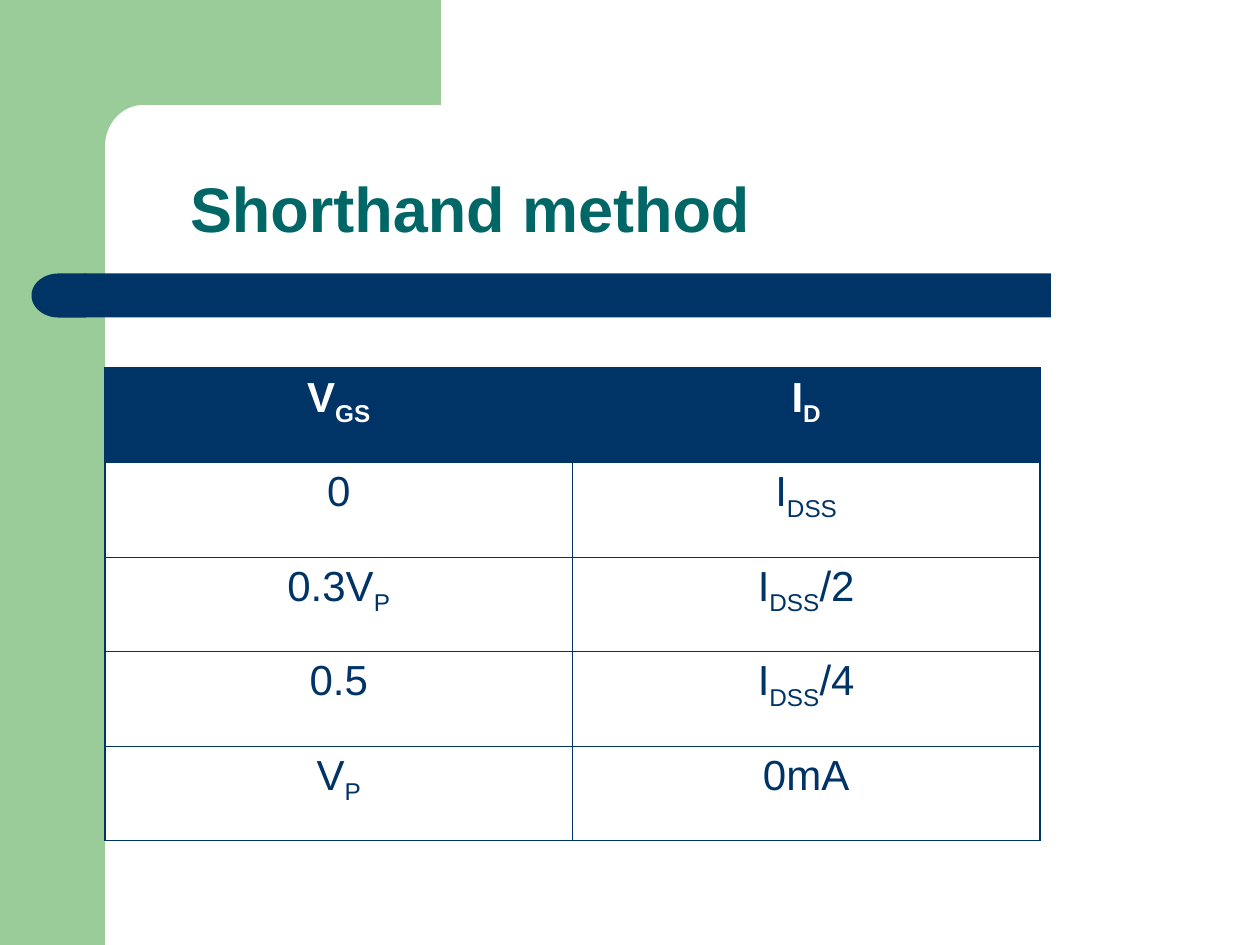
from dataclasses import dataclass
from math import cos, pi, sin

from lxml.etree import SubElement
from pptx import Presentation
from pptx.dml.color import RGBColor
from pptx.enum.shapes import MSO_SHAPE
from pptx.enum.text import MSO_ANCHOR, PP_ALIGN
from pptx.oxml.ns import qn
from pptx.util import Inches, Pt

# Content: each cell is a list of (text, is subscript) runs
TITLE = "Shorthand method"
I_DSS = [("I", False), ("DSS", True)]
ROWS = [
    ([("V", False), ("GS", True)], [("I", False), ("D", True)]),
    ([("0", False)], I_DSS),
    ([("0.3V", False), ("P", True)], I_DSS + [("/2", False)]),
    ([("0.5", False)], I_DSS + [("/4", False)]),
    ([("V", False), ("P", True)], [("0mA", False)]),
]


@dataclass(frozen=True)
class Theme:
    font: str = "Arial"
    green: str = "99CC99"
    navy: str = "003366"
    teal: str = "006666"
    white: str = "FFFFFF"
    title_size: int = 36
    table_size: int = 24
    outer_line: float = 1.08
    inner_line: float = 0.45


THEME = Theme()
WIDTH, HEIGHT = 10, 7.5
MARGIN = WIDTH / 12  # width of the green side band
BAR_TOP, BAR_HEIGHT = 2.17, 0.35
TABLE_TOP, TABLE_WIDTH, TABLE_HEIGHT = 2.92, 7.42, HEIGHT / 2


def paint(shape, color):
    shape.shadow.inherit = False
    shape.fill.solid()
    shape.fill.fore_color.rgb = RGBColor.from_string(color)
    shape.line.fill.background()


def add_block(slide, kind, left, top, width, height, color):
    shape = slide.shapes.add_shape(
        kind, Inches(left), Inches(top), Inches(width), Inches(height))
    paint(shape, color)
    return shape


def add_run(paragraph, text, size, color, bold, subscript=False):
    run = paragraph.add_run()
    run.text = text
    run.font.name = THEME.font
    run.font.size = Pt(size)
    run.font.bold = bold
    run.font.color.rgb = RGBColor.from_string(color)
    if subscript:
        run._r.get_or_add_rPr().set("baseline", "-25000")


def add_corner(slide):
    """Green top band whose inner corner is a rounded quarter."""
    left, right, bottom = 0.5, 3.5, 1.28
    radius_x, radius_y, steps = 0.3, 0.33, 16
    arc = [(MARGIN + radius_x * (1 - sin(angle)),
            MARGIN + radius_y * (1 - cos(angle)))
           for angle in (pi / 2 * step / steps for step in range(steps + 1))]
    points = [(right, 0), (right, MARGIN), *arc,
              (MARGIN, bottom), (left, bottom), (left, 0)]
    builder = slide.shapes.build_freeform(
        *(Inches(value) for value in points[0]), scale=1.0)
    builder.add_line_segments(
        [(Inches(x), Inches(y)) for x, y in points[1:]], close=True)
    paint(builder.convert_to_shape(), THEME.green)


def set_borders(cell, outer_sides):
    properties = cell._tc.get_or_add_tcPr()
    for side in "LRTB":
        width = THEME.outer_line if side in outer_sides else THEME.inner_line
        line = SubElement(properties, qn(f"a:ln{side}"), w=str(Pt(width)))
        fill = SubElement(line, qn("a:solidFill"))
        SubElement(fill, qn("a:srgbClr"), val=THEME.navy)


def add_table(slide):
    row_count, column_count = len(ROWS), len(ROWS[0])
    table = slide.shapes.add_table(
        row_count, column_count, Inches(MARGIN), Inches(TABLE_TOP),
        Inches(TABLE_WIDTH), Inches(TABLE_HEIGHT)).table
    table.horz_banding = False
    for row_index, row in enumerate(ROWS):
        header = row_index == 0
        for column_index, runs in enumerate(row):
            cell = table.cell(row_index, column_index)
            edges = {"L": column_index == 0, "R": column_index == column_count - 1,
                     "T": header, "B": row_index == row_count - 1}
            set_borders(cell, [side for side, outer in edges.items() if outer])
            cell.fill.solid()
            cell.fill.fore_color.rgb = RGBColor.from_string(
                THEME.navy if header else THEME.white)
            paragraph = cell.text_frame.paragraphs[0]
            paragraph.alignment = PP_ALIGN.CENTER
            for text, subscript in runs:
                add_run(paragraph, text, THEME.table_size,
                        THEME.white if header else THEME.navy, header, subscript)


def add_title(slide):
    box = slide.shapes.add_textbox(
        Inches(1.41), Inches(0.91), Inches(6.92), Inches(1.09))
    frame = box.text_frame
    frame.word_wrap = True
    frame.vertical_anchor = MSO_ANCHOR.BOTTOM
    paragraph = frame.paragraphs[0]
    paragraph.line_spacing = 0.9
    add_run(paragraph, TITLE, THEME.title_size, THEME.teal, True)


def main():
    presentation = Presentation()
    presentation.slide_width, presentation.slide_height = Inches(WIDTH), Inches(HEIGHT)
    slide = presentation.slides.add_slide(presentation.slide_layouts[6])

    # Green frame
    add_block(slide, MSO_SHAPE.RECTANGLE, 0, 0, MARGIN, HEIGHT, THEME.green)
    add_corner(slide)

    # Navy bar with a rounded left end
    add_block(slide, MSO_SHAPE.RECTANGLE, 0.67, BAR_TOP, 7.67, BAR_HEIGHT, THEME.navy)
    bar_end = add_block(slide, MSO_SHAPE.FLOWCHART_DELAY,
                        0.25, BAR_TOP, 0.43, BAR_HEIGHT, THEME.navy)
    bar_end.rotation = 180

    # Title and table
    add_title(slide)
    add_table(slide)
    presentation.save("out.pptx")


if __name__ == "__main__":
    main()
